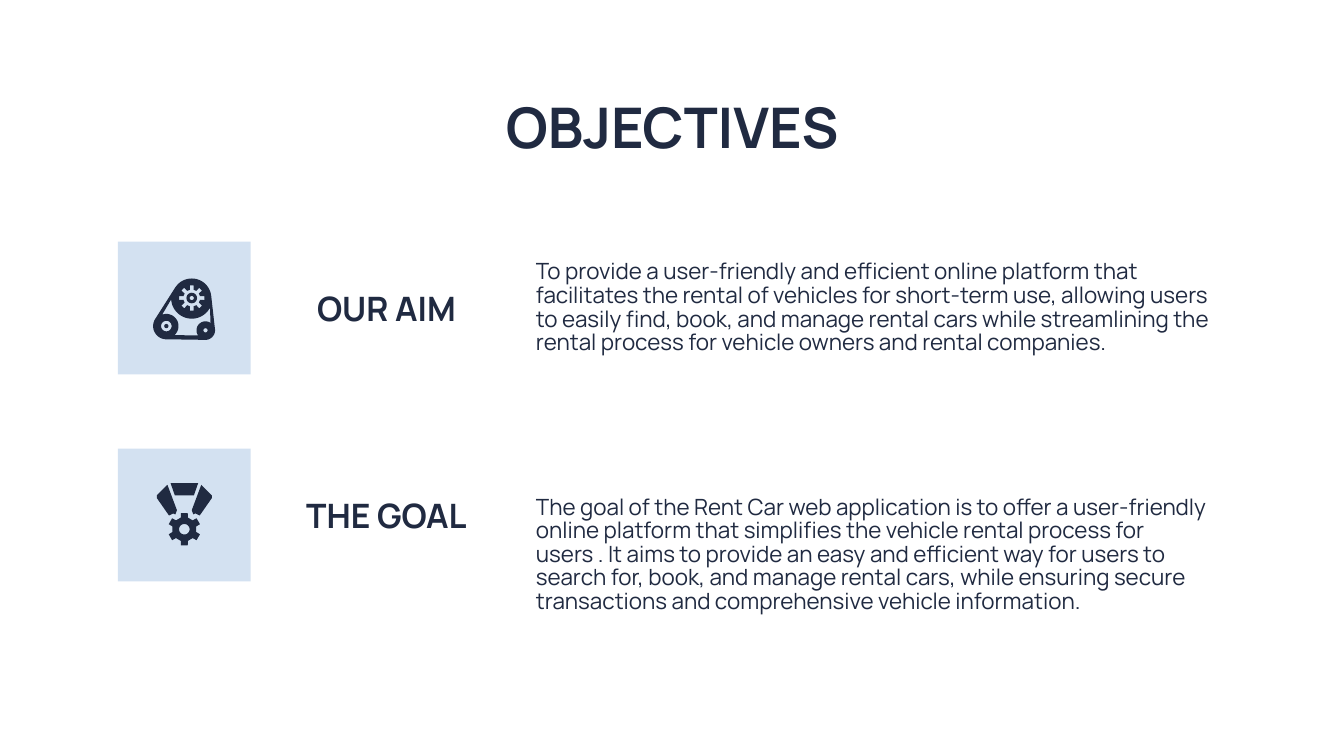
from dataclasses import dataclass
from math import cos, radians, sin

from pptx import Presentation
from pptx.dml.color import RGBColor
from pptx.enum.shapes import MSO_SHAPE
from pptx.enum.text import MSO_ANCHOR, MSO_AUTO_SIZE, PP_ALIGN
from pptx.util import Cm, Pt

NAVY = RGBColor(0x20, 0x2A, 0x41)
PALE_BLUE = RGBColor(0xD3, 0xE1, 0xF1)
FONT = "Manrope"
TILE_LEFT, TILE_SIZE = 2.23, 2.51

Point = tuple[float, float]
Contour = list[Point]


@dataclass
class Objective:
    heading: str
    body: str
    top: float
    body_top: float
    body_height: float
    icon: list[list[Contour]]


def arc(cx: float, cy: float, r: float, start: float, end: float) -> Contour:
    steps = 24
    angles = [radians(start + (end - start) * i / steps) for i in range(steps + 1)]
    return [(cx + r * cos(a), cy + r * sin(a)) for a in angles]


def circle(cx: float, cy: float, r: float) -> Contour:
    return arc(cx, cy, r, 0, 360)


def gear(cx: float, cy: float, outer: float, inner: float, teeth: int) -> Contour:
    step = 360 / teeth
    profile = [(-0.28, inner), (-0.2, outer), (0.2, outer), (0.28, inner)]
    points = []
    for i in range(teeth):
        for offset, r in profile:
            a = radians(90 + step * (i + offset))
            points.append((cx + r * cos(a), cy + r * sin(a)))
    return points


def mirror(contour: Contour) -> Contour:
    return [(-x, y) for x, y in contour]


def belt_icon() -> list[list[Contour]]:
    big, left, right = (0.14, -0.19), (-0.34, 0.34), (0.4, 0.42)
    belt = arc(*big, 0.37, 211, 354) + arc(*right, 0.18, -6, 90) + arc(*left, 0.25, 90, 211)
    gap = arc(*big, 0.39, 176, 28) + arc(*right, 0.17, 304, 145) + arc(*left, 0.23, 48, -110)
    return [[
        belt, gap,
        gear(*big, 0.24, 0.16, 8), circle(*big, 0.1), circle(*big, 0.04),
        circle(*left, 0.1), circle(*left, 0.04), circle(*right, 0.04),
    ]]


def medal_icon() -> list[list[Contour]]:
    ribbon = [(-0.32, -0.57), (-0.52, -0.37), (-0.52, -0.32), (-0.29, 0.01),
              (-0.21, -0.03), (-0.17, -0.01), (-0.14, -0.09)]
    band = [(-0.26, -0.6), (-0.18, -0.37), (0.18, -0.37), (0.26, -0.6)]
    cog = [gear(0, 0.27, 0.31, 0.23, 6), circle(0, 0.27, 0.1)]
    return [[ribbon], [mirror(ribbon)], [band], cog]


def paint(sp, color: RGBColor) -> None:
    sp.fill.solid()
    sp.fill.fore_color.rgb = color
    sp.line.fill.background()
    sp.shadow.inherit = False


def add_outline(shapes, contours: list[Contour], cx: float, cy: float) -> None:
    placed = [[(Cm(cx + x), Cm(cy + y)) for x, y in c] for c in contours]
    builder = shapes.build_freeform(*placed[0][0])
    builder.add_line_segments(placed[0][1:], close=True)
    for contour in placed[1:]:
        builder.move_to(*contour[0])
        builder.add_line_segments(contour[1:], close=True)
    paint(builder.convert_to_shape(), NAVY)


def write(sp, text: str, size: float, bold: bool, align: PP_ALIGN,
          anchor: MSO_ANCHOR, spacing: float = 1.0) -> None:
    tf = sp.text_frame
    tf.word_wrap = True
    tf.auto_size = MSO_AUTO_SIZE.NONE
    tf.vertical_anchor = anchor
    tf.margin_left = tf.margin_right = tf.margin_top = tf.margin_bottom = Cm(0.25)
    tf.text = text
    p = tf.paragraphs[0]
    p.alignment = align
    p.line_spacing = spacing
    p.space_before = Pt(0)
    font = p.runs[0].font
    font.name = FONT
    font.size = Pt(size)
    font.bold = bold
    font.color.rgb = NAVY


def add_objective(shapes, item: Objective) -> None:
    tile = shapes.add_shape(MSO_SHAPE.RECTANGLE, Cm(TILE_LEFT), Cm(item.top),
                            Cm(TILE_SIZE), Cm(TILE_SIZE))
    paint(tile, PALE_BLUE)
    for contours in item.icon:
        add_outline(shapes, contours, TILE_LEFT + TILE_SIZE / 2, item.top + TILE_SIZE / 2)
    heading = shapes.add_textbox(Cm(5.16), Cm(item.top), Cm(4.29), Cm(TILE_SIZE))
    write(heading, item.heading, 18, True, PP_ALIGN.CENTER, MSO_ANCHOR.MIDDLE)
    body = shapes.add_textbox(Cm(9.88), Cm(item.body_top), Cm(13.31), Cm(item.body_height))
    write(body, item.body, 12, False, PP_ALIGN.LEFT, MSO_ANCHOR.MIDDLE, 0.88)


OBJECTIVES = [
    Objective(
        "OUR AIM",
        "To provide a user-friendly and efficient online platform that facilitates the rental "
        "of vehicles for short-term use, allowing users to easily find, book, and manage rental "
        "cars while streamlining the rental process for vehicle owners and rental companies.",
        4.57, 4.57, TILE_SIZE, belt_icon(),
    ),
    Objective(
        "THE GOAL",
        "The goal of the Rent Car web application is to offer a user-friendly online platform "
        "that simplifies the vehicle rental process for users . It aims to provide an easy and "
        "efficient way for users to search for, book, and manage rental cars, while ensuring "
        "secure transactions and comprehensive vehicle information.",
        8.48, 8.59, 3.81, medal_icon(),
    ),
]


def main() -> None:
    prs = Presentation()
    prs.slide_width, prs.slide_height = Cm(25.4), Cm(14.29)
    s = prs.slides.add_slide(prs.slide_layouts[5])
    title = s.shapes.title
    title.left, title.top, title.width, title.height = Cm(2), Cm(1.5), Cm(21.41), Cm(1.6)
    write(title, "OBJECTIVES", 30, True, PP_ALIGN.CENTER, MSO_ANCHOR.TOP)
    for item in OBJECTIVES:
        add_objective(s.shapes, item)
    prs.save("out.pptx")


if __name__ == "__main__":
    main()
